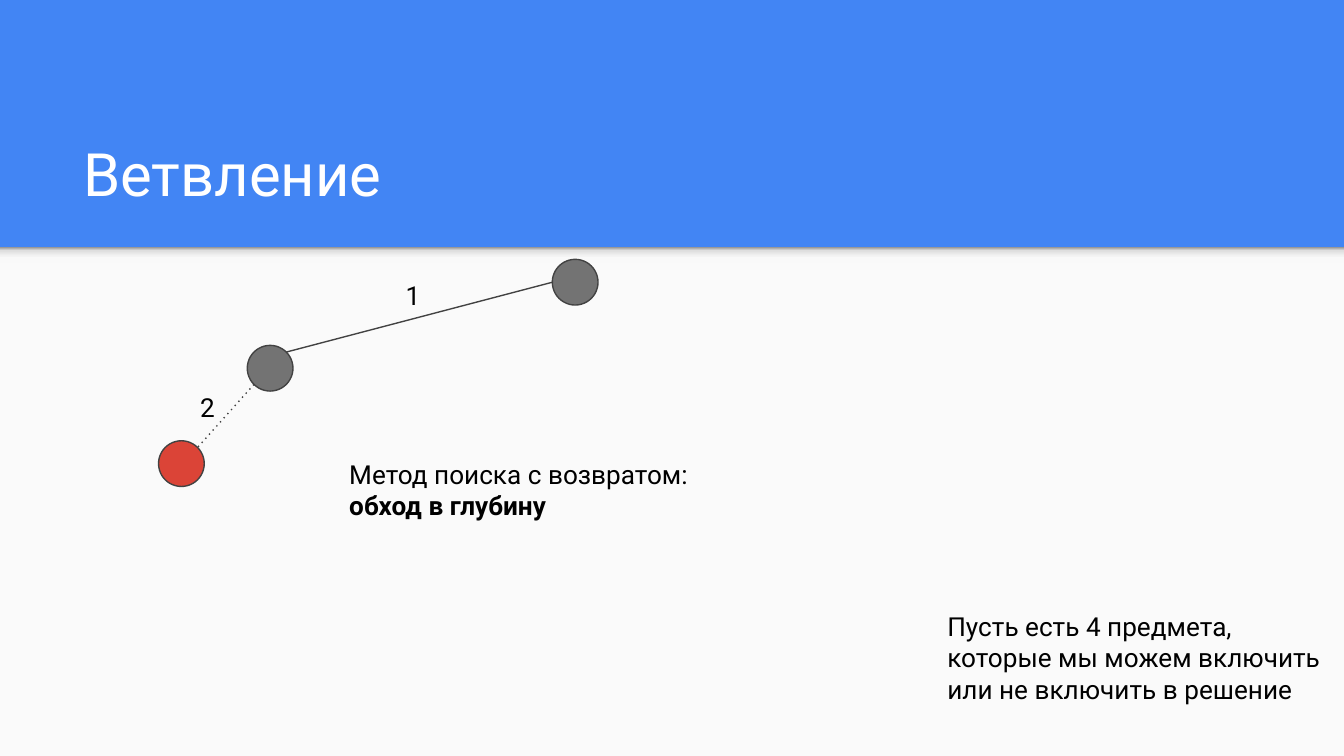
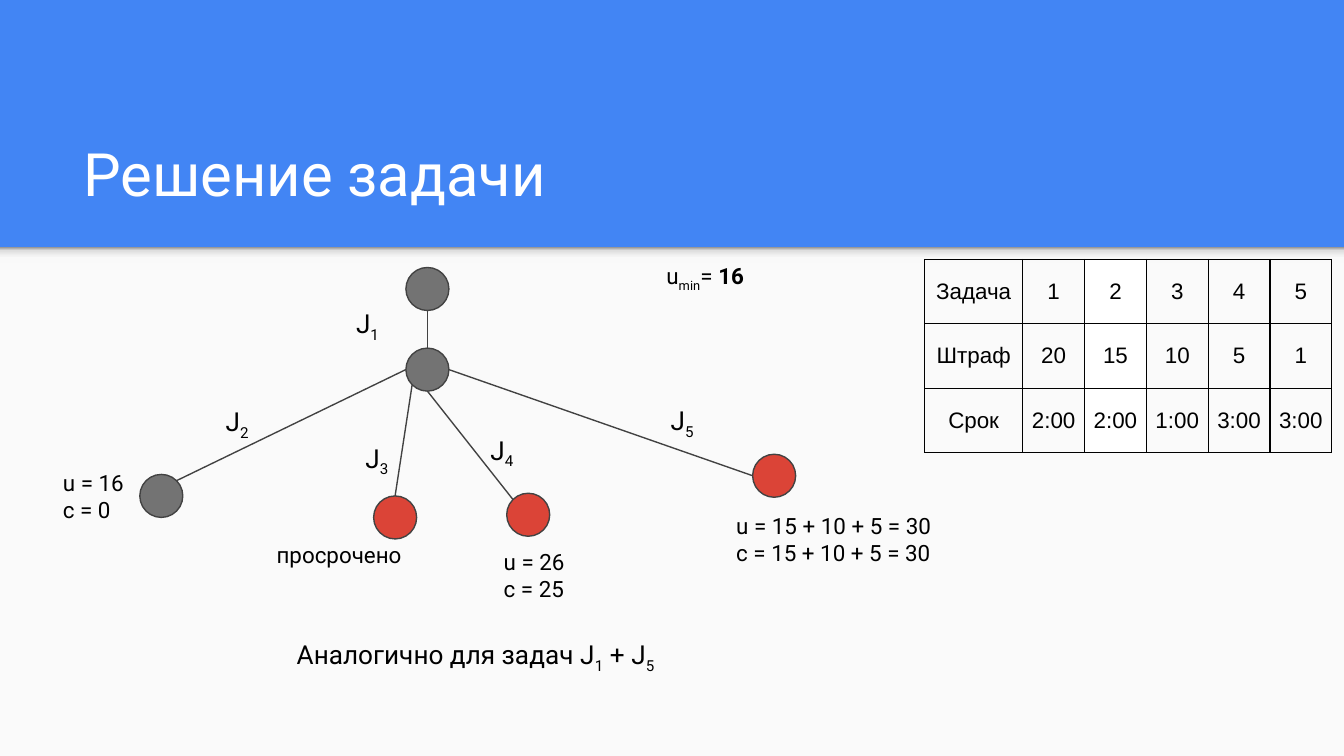
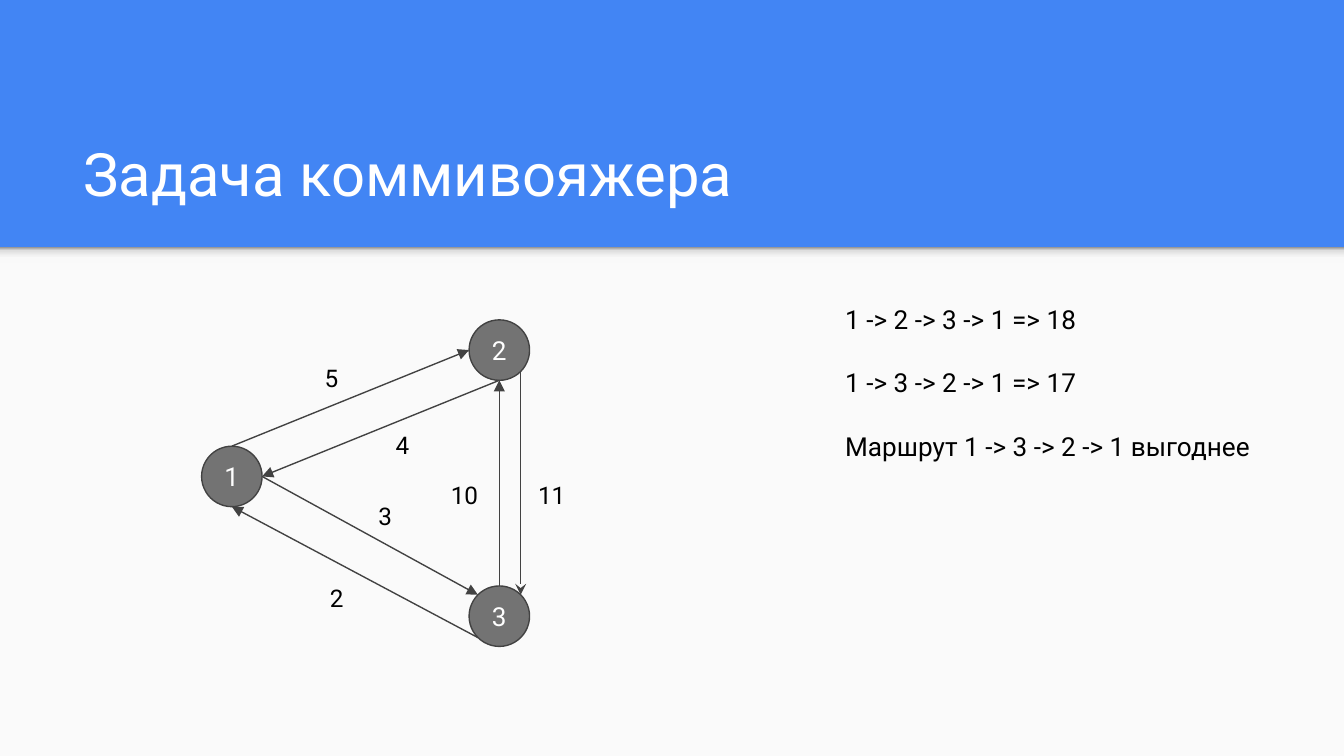
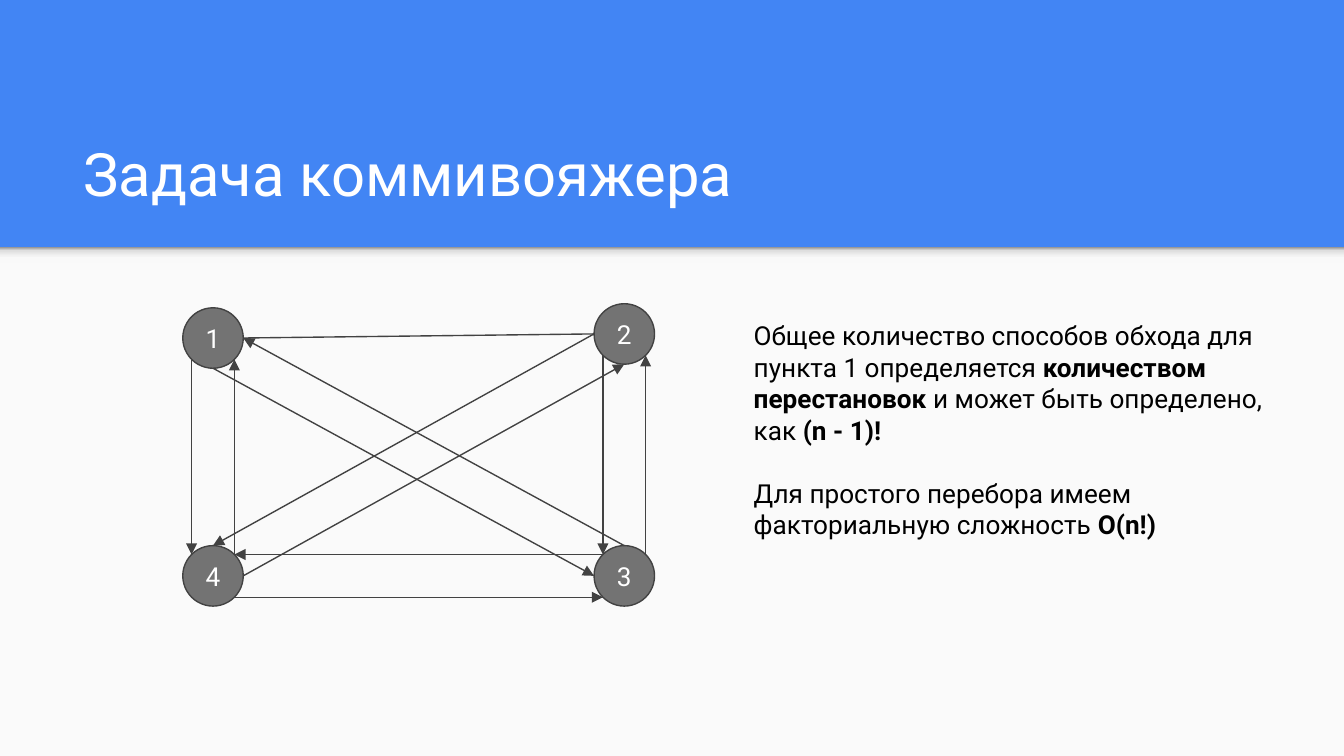
"""Build four slides on branching, job scheduling and the travelling salesman."""
import math
from dataclasses import dataclass

import lxml.etree
import pptx
import pptx.dml.color
import pptx.enum.shapes
import pptx.enum.text
import pptx.oxml.ns
import pptx.util

Inches = pptx.util.Inches
Align = pptx.enum.text.PP_ALIGN
Anchor = pptx.enum.text.MSO_ANCHOR
Shape = pptx.enum.shapes.MSO_SHAPE
qn = pptx.oxml.ns.qn


@dataclass(frozen=True)
class Theme:
    blue: str = "4285F4"
    paper: str = "FAFAFA"
    white: str = "FFFFFF"
    ink: str = "000000"
    outline: str = "424242"
    grey: str = "737373"
    red: str = "DB4437"
    band_shadow: tuple = ((0, "F9F9F9"), (36, "F9F9F9"), (80, "DEDEDE"), (100, "999999"))
    font: str = "Roboto"
    table_font: str = "Arial"
    title: float = 32
    body: float = 14
    weight: float = 13
    note: float = 12
    line: float = 0.75
    paragraph_gap: float = 17
    inset: float = 0.1


THEME = Theme()
PORTS = ["N", "NW", "W", "SW", "S", "SE", "E", "NE"]
SLIDE_WIDTH = 10
SLIDE_HEIGHT = SLIDE_WIDTH * 9 / 16
BAND_TOP = 1.84


def job(number):
    return [["J", (number, "sub")]]


SLIDES = [
    {
        "title": "Ветвление",
        "node_size": 0.34,
        "nodes": {"root": (4.11, 1.93, THEME.grey), "taken": (1.84, 2.57, THEME.grey),
                  "current": (1.18, 3.28, THEME.red)},
        "edges": [("root", "W", "taken", "NE", ""), ("taken", "SW", "current", "NE", "dot")],
        "labels": [(2.92, 1.98, [["1"]]), (1.39, 2.81, [["2"]])],
        "label_box": (0.38, 0.41),
        "label_format": {"size": THEME.body},
        "texts": [
            (6.95, 4.44, 3.05, 1.02, THEME.body,
             [["Пусть есть 4 предмета, которые мы можем включить или не включить в решение"]]),
            (2.5, 3.31, 3.39, 0.73, THEME.body,
             [["Метод поиска с возвратом:"], [("обход в глубину", "bold")]]),
        ],
    },
    {
        "title": "Решение задачи",
        "node_size": 0.32,
        "nodes": {"root": (3.02, 1.99, THEME.grey), "J1": (3.02, 2.59, THEME.grey),
                  "J2": (1.04, 3.53, THEME.grey), "J3": (2.78, 3.69, THEME.red),
                  "J4": (3.77, 3.67, THEME.red), "J5": (5.6, 3.38, THEME.red)},
        "edges": [("root", "S", "J1", "N", ""), ("J1", "W", "J2", "NE", ""),
                  ("J1", "SW", "J3", "N", ""), ("J1", "S", "J4", "NW", ""),
                  ("J1", "E", "J5", "W", "")],
        "labels": [(2.53, 2.19, job("1")), (1.56, 2.92, job("2")), (2.6, 3.19, job("3")),
                   (3.53, 3.13, job("4")), (4.87, 2.91, job("5"))],
        "label_box": (0.41, 0.44),
        "label_format": {"size": THEME.body, "align": Align.CENTER},
        "texts": [
            (4.86, 1.85, 1.79, 0.59, THEME.note, [["u", ("min", "sub"), "= ", ("16", "bold")]]),
            (0.37, 3.39, 0.76, 0.59, THEME.note, [["u = 16"], ["с = 0"]]),
            (1.96, 3.93, 1.33, 0.41, THEME.note, [["просрочено"]]),
            (3.65, 3.98, 0.76, 0.59, THEME.note, [["u = 26"], ["с = 25"]]),
            (5.38, 3.71, 3.03, 0.59, THEME.note,
             [["u = 15 + 10 + 5 = 30"], ["с = 15 + 10 + 5 = 30"]]),
            (2.11, 4.65, 6.7, 0.98, THEME.body,
             [["Аналогично для задач J", ("1", "sub"), " + J", ("5", "sub")]]),
        ],
        "table": {
            "at": (6.88, 1.93),
            "columns": [0.73] + [0.46] * 5,
            "row_height": 0.48,
            "white_column": 2,
            "rows": [["Задача", "1", "2", "3", "4", "5"],
                     ["Штраф", "20", "15", "10", "5", "1"],
                     ["Срок", "2:00", "2:00", "1:00", "3:00", "3:00"]],
        },
    },
    {
        "title": "Задача коммивояжера",
        "node_size": 0.45,
        "numbered": True,
        "nodes": {"1": (1.5, 3.32, THEME.grey), "3": (3.49, 4.36, THEME.grey),
                  "2": (3.49, 2.38, THEME.grey)},
        "edges": [("1", "N", "2", "W", "triangle"), ("2", "S", "1", "E", "triangle"),
                  ("3", "N", "2", "S", "triangle"), ("2", "SE", "3", "NE", "stealth"),
                  ("3", "SW", "1", "S", "triangle"), ("1", "E", "3", "NW", "triangle")],
        "labels": [(2.24, 2.6, [["5"]]), (2.77, 3.1, [["4"]]), (3.88, 3.47, [["11"]]),
                   (3.23, 3.47, [["10"]]), (2.28, 4.24, [["2"]]), (2.64, 3.63, [["3"]])],
        "label_box": (0.45, 0.42),
        "label_format": {"size": THEME.weight, "align": Align.CENTER},
        "text_gap": THEME.paragraph_gap,
        "texts": [
            (6.19, 2.16, 3.57, 2.73, THEME.body,
             [["1 -> 2 -> 3 -> 1 => 18"], ["1 -> 3 -> 2 -> 1 => 17"],
              ["Маршрут 1 -> 3 -> 2 -> 1 выгоднее"]]),
        ],
    },
    {
        "title": "Задача коммивояжера",
        "node_size": 0.45,
        "numbered": True,
        "nodes": {"1": (1.36, 2.29, THEME.grey), "2": (4.42, 2.26, THEME.grey),
                  "4": (1.36, 4.06, THEME.grey), "3": (4.42, 4.06, THEME.grey)},
        "edges": [("1", "E", "2", "W", ""), ("2", "SW", "3", "NW", "triangle"),
                  ("3", "NE", "2", "SE", "triangle"), ("3", "NW", "4", "NE", "triangle"),
                  ("4", "SE", "3", "SW", "triangle"), ("4", "NE", "1", "SE", "triangle"),
                  ("1", "SW", "4", "NW", "triangle"), ("2", "W", "4", "N", "triangle"),
                  ("4", "E", "2", "S", "triangle"), ("3", "N", "1", "E", "triangle"),
                  ("1", "S", "3", "W", "triangle")],
        "text_gap": THEME.paragraph_gap,
        "texts": [
            (5.51, 2.28, 4.24, 3.04, THEME.body,
             [["Общее количество способов обхода для пункта 1 определяется ",
               ("количеством перестановок", "bold"), " и может быть определено, как ",
               ("(n - 1)!", "bold")],
              ["Для простого перебора имеем факториальную сложность ", ("O(n!)", "bold")]]),
        ],
    },
]


def rgb(value):
    return pptx.dml.color.RGBColor.from_string(value)


def box(*lengths):
    return [Inches(length) for length in lengths]


def write(frame, paragraphs, size=THEME.body, color=THEME.ink, font=THEME.font,
          align=Align.LEFT, anchor=Anchor.TOP, gap=0):
    frame.word_wrap = True
    frame.vertical_anchor = anchor
    frame.margin_left = frame.margin_right = Inches(THEME.inset)
    frame.margin_top = frame.margin_bottom = Inches(THEME.inset)
    for index, pieces in enumerate(paragraphs):
        paragraph = frame.add_paragraph() if index else frame.paragraphs[0]
        paragraph.alignment = align
        paragraph.space_before = pptx.util.Pt(gap if index else 0)
        for piece in pieces:
            words, style = (piece, "") if isinstance(piece, str) else piece
            run = paragraph.add_run()
            run.text = words
            run.font.name = font
            run.font.size = pptx.util.Pt(size)
            run.font.color.rgb = rgb(color)
            run.font.bold = style == "bold"
            if style == "sub":
                run.font._element.set("baseline", "-25000")


def add_solid(slide, kind, bounds, fill, outline=None):
    solid = slide.shapes.add_shape(kind, *box(*bounds))
    solid.shadow.inherit = False
    solid.fill.solid()
    solid.fill.fore_color.rgb = rgb(fill)
    if outline:
        solid.line.color.rgb = rgb(outline)
        solid.line.width = pptx.util.Pt(THEME.line)
    else:
        solid.line.fill.background()
    return solid


def add_bands(slide, layout):
    """Draw the shared bands and move them behind everything in the layout."""
    paper = add_solid(slide, Shape.RECTANGLE,
                      (0, BAND_TOP, SLIDE_WIDTH, SLIDE_HEIGHT - BAND_TOP), THEME.paper)
    shade = add_solid(slide, Shape.RECTANGLE, (0, BAND_TOP, SLIDE_WIDTH, 0.12), THEME.paper)
    shade.fill.gradient()
    shade.fill.gradient_angle = 90
    stops = shade.element.spPr.find(".//" + qn("a:gsLst"))
    for stop in list(stops):
        stops.remove(stop)
    for position, color in THEME.band_shadow:
        stop = lxml.etree.SubElement(stops, qn("a:gs"), pos=str(position * 1000))
        lxml.etree.SubElement(stop, qn("a:srgbClr"), val=color)
    for position, band in enumerate((paper, shade), start=2):
        layout.shapes.element.insert(position, band.element)


def port_point(node, port):
    angle = math.radians(90 + 45 * PORTS.index(port))
    radius = node.width / 2
    return (round(node.left + radius * (1 + math.cos(angle))),
            round(node.top + radius * (1 - math.sin(angle))))


def add_edge(slide, start, start_port, end, end_port, style):
    edge = slide.shapes.add_connector(
        pptx.enum.shapes.MSO_CONNECTOR.STRAIGHT,
        *port_point(start, start_port), *port_point(end, end_port))
    edge.line.color.rgb = rgb(THEME.outline)
    edge.line.width = pptx.util.Pt(THEME.line)
    stroke = edge.element.spPr.find(qn("a:ln"))
    if style == "dot":
        lxml.etree.SubElement(stroke, qn("a:prstDash"), val=style)
    elif style:
        lxml.etree.SubElement(stroke, qn("a:tailEnd"), type=style)
    lxml.etree.SubElement(edge.element.spPr, qn("a:effectLst"))
    joints = edge.element.find(".//" + qn("p:cNvCxnSpPr"))
    for tag, node, port in (("a:stCxn", start, start_port), ("a:endCxn", end, end_port)):
        lxml.etree.SubElement(joints, qn(tag), id=str(node.shape_id), idx=str(PORTS.index(port)))


def add_graph(slide, content):
    size = content["node_size"]
    nodes = {}
    for name, (left, top, color) in content["nodes"].items():
        nodes[name] = add_solid(slide, Shape.OVAL, (left, top, size, size), color, THEME.outline)
        if content.get("numbered"):
            write(nodes[name].text_frame, [[name]], color=THEME.white,
                  align=Align.CENTER, anchor=Anchor.MIDDLE)
    for start, start_port, end, end_port, style in content["edges"]:
        add_edge(slide, nodes[start], start_port, nodes[end], end_port, style)
    for left, top, label in content.get("labels", []):
        holder = slide.shapes.add_textbox(*box(left, top, *content["label_box"]))
        write(holder.text_frame, label, **content["label_format"])


def add_borders(cell):
    properties = cell._tc.get_or_add_tcPr()
    for position, side in enumerate(("a:lnL", "a:lnR", "a:lnT", "a:lnB")):
        border = lxml.etree.Element(qn(side), w=str(pptx.util.Pt(THEME.line)))
        paint = lxml.etree.SubElement(border, qn("a:solidFill"))
        lxml.etree.SubElement(paint, qn("a:srgbClr"), val=THEME.ink)
        properties.insert(position, border)


def add_jobs_table(slide, content):
    rows, columns = content["rows"], content["columns"]
    height = content["row_height"]
    table = slide.shapes.add_table(
        len(rows), len(columns),
        *box(*content["at"], sum(columns), height * len(rows))).table
    table.first_row = table.horz_banding = False
    for column, width in zip(table.columns, columns):
        column.width = Inches(width)
    for row, values in zip(table.rows, rows):
        row.height = Inches(height)
        for index, (cell, value) in enumerate(zip(row.cells, values)):
            write(cell.text_frame, [[value]], size=THEME.note, font=THEME.table_font,
                  align=Align.CENTER)
            cell.vertical_anchor = Anchor.MIDDLE
            cell.margin_left = cell.margin_right = Inches(0.04)
            cell.margin_top = cell.margin_bottom = Inches(0.05)
            if index == content["white_column"]:
                cell.fill.solid()
                cell.fill.fore_color.rgb = rgb(THEME.white)
            else:
                cell.fill.background()
            add_borders(cell)


def add_slide(deck, layout, content):
    slide = deck.slides.add_slide(layout)
    title = slide.shapes.title
    title.left, title.top, title.width, title.height = box(0.52, 0.81, 8.99, 0.84)
    write(title.text_frame, [[content["title"]]], size=THEME.title, color=THEME.white,
          anchor=Anchor.BOTTOM)
    if "table" in content:
        add_jobs_table(slide, content["table"])
    add_graph(slide, content)
    for *bounds, size, paragraphs in content["texts"]:
        holder = slide.shapes.add_textbox(*box(*bounds))
        write(holder.text_frame, paragraphs, size=size, gap=content.get("text_gap", 0))
    return slide


def main():
    deck = pptx.Presentation()
    deck.slide_width, deck.slide_height = box(SLIDE_WIDTH, SLIDE_HEIGHT)
    background = deck.slide_master.background.fill
    background.solid()
    background.fore_color.rgb = rgb(THEME.blue)
    layout = deck.slide_layouts[5]
    for footer in list(layout.placeholders)[1:]:
        footer.element.getparent().remove(footer.element)
    slides = [add_slide(deck, layout, content) for content in SLIDES]
    add_bands(slides[0], layout)
    deck.save("out.pptx")


if __name__ == "__main__":
    main()
